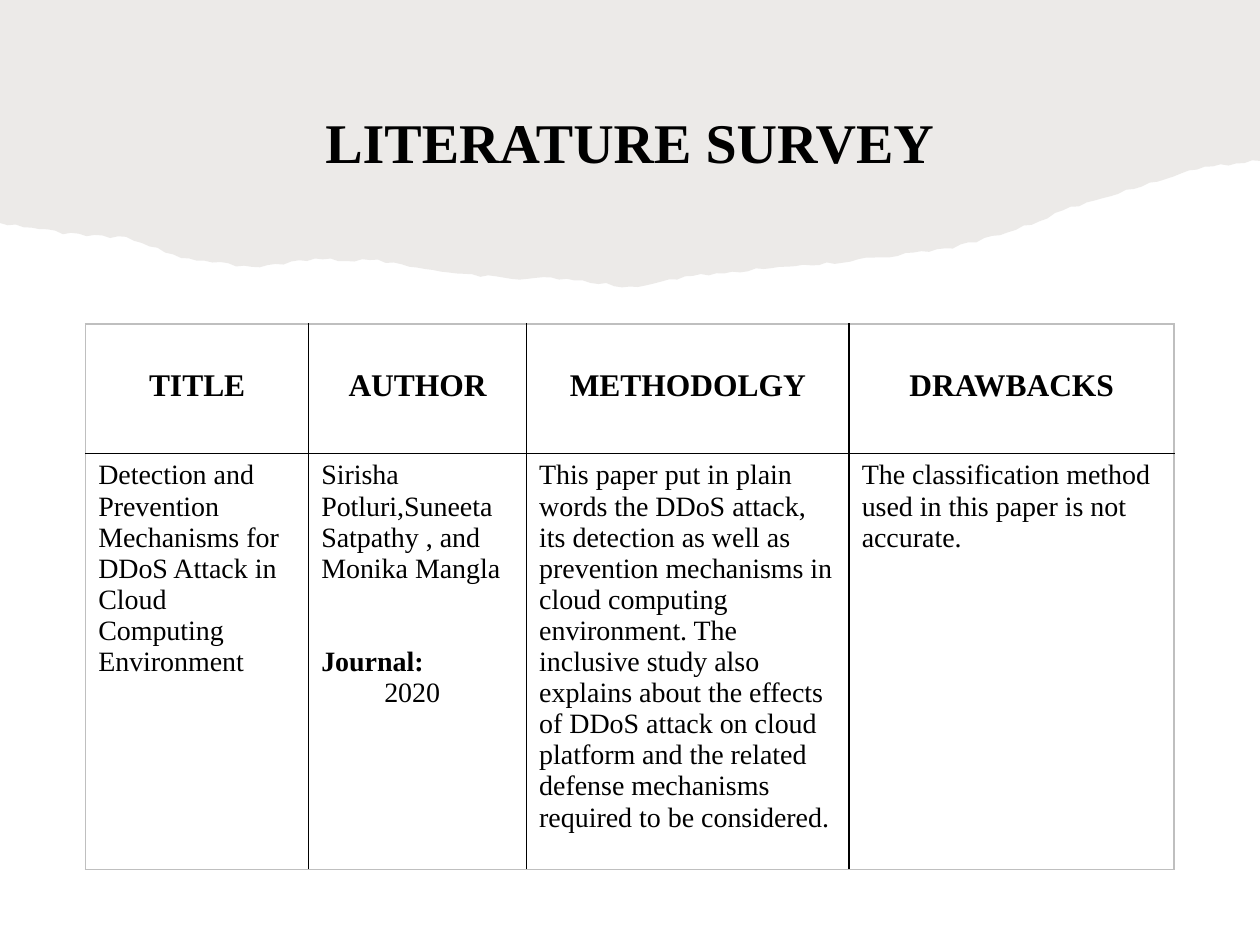
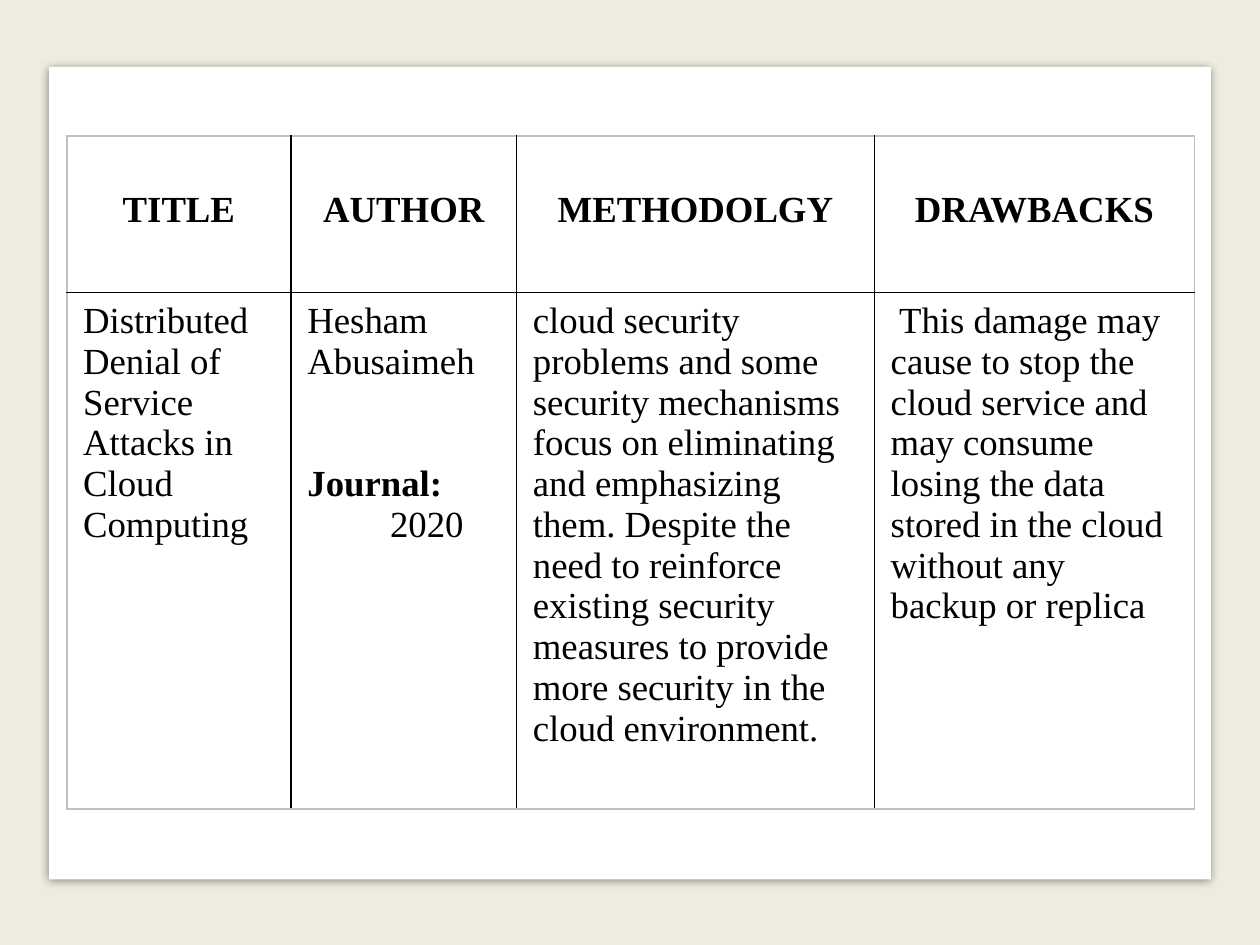
from dataclasses import dataclass
from math import sin

from lxml import etree
from pptx import Presentation
from pptx.dml.color import RGBColor
from pptx.enum.shapes import MSO_SHAPE as Shape
from pptx.enum.text import MSO_ANCHOR as Anchor, PP_ALIGN as Align
from pptx.oxml.ns import qn
from pptx.util import Inches, Pt

SLIDE_WIDTH, SLIDE_HEIGHT = 10, 7.5
HEADINGS = ("TITLE", "AUTHOR", "METHODOLGY", "DRAWBACKS")

# Depth of the torn band at equal steps from the left to the right edge
BAND_DEPTHS = (1.77, 1.85, 1.89, 2.06, 2.12, 2.06, 2.07, 2.15, 2.21, 2.21,
               2.28, 2.19, 2.14, 2.1, 2.04, 1.98, 1.85, 1.65, 1.49, 1.34, 1.27)
TEARS_PER_STEP = 8
TEAR_SIZE = 0.01


@dataclass(frozen=True)
class Theme:
    ink: str = "000000"
    paper: str = "FFFFFF"
    backdrop: str = "EEECE1"
    band: str = "82766A"
    band_opacity: int = 15
    shadow_opacity: int = 43
    outer_rule: str = "BFBFBF"
    rule_width: float = 1
    font: str = "Times New Roman"
    title_size: float = 32
    # The next three are multiples of the type size
    line_height: float = 1.11
    heading_drop: float = 1.22
    year_indent: float = 2.25


@dataclass(frozen=True)
class TableLayout:
    left: float
    top: float
    columns: tuple
    rows: tuple
    heading_size: float
    body_size: float
    inset_x: float
    inset_y: float


@dataclass(frozen=True)
class SurveyedPaper:
    title: str
    author: str
    year: str
    methodology: str
    drawbacks: str


def add_child(parent, tag, **attributes):
    child = etree.SubElement(parent, qn(tag))
    for name, value in attributes.items():
        child.set(name, str(value))
    return child


def add_opacity(color, percent):
    add_child(color, "a:alpha", val=percent * 1000)


def torn_edge():
    """Join the band depths by straight stretches and roughen them."""
    steps = len(BAND_DEPTHS) - 1
    tears = steps * TEARS_PER_STEP
    for tear in range(tears + 1):
        step = min(tear // TEARS_PER_STEP, steps - 1)
        share = tear / TEARS_PER_STEP - step
        start, end = BAND_DEPTHS[step:step + 2]
        roughness = TEAR_SIZE * sin(tear * tear)
        yield (Inches(SLIDE_WIDTH * tear / tears),
               Inches(start + (end - start) * share + roughness))


class SurveyDeck:
    def __init__(self, theme):
        self.theme = theme
        self.deck = Presentation()
        self.deck.slide_width = Inches(SLIDE_WIDTH)
        self.deck.slide_height = Inches(SLIDE_HEIGHT)
        self.slide = None

    def new_slide(self):
        self.slide = self.deck.slides.add_slide(self.deck.slide_layouts[6])

    def paint(self, shape, color):
        shape.shadow.inherit = False
        shape.fill.solid()
        shape.fill.fore_color.rgb = RGBColor.from_string(color)
        shape.line.fill.background()

    def panel(self, left, top, width, height, color):
        panel = self.slide.shapes.add_shape(
            Shape.RECTANGLE, *map(Inches, (left, top, width, height)))
        self.paint(panel, color)
        return panel

    def raised_panel(self, *box):
        panel = self.panel(*box, self.theme.paper)
        effects = panel.element.spPr.find(qn("a:effectLst"))
        shadow = add_child(effects, "a:outerShdw", blurRad=Pt(5), dist=Pt(1.4),
                           dir=90 * 60000, algn="t", rotWithShape=0)
        shade = add_child(shadow, "a:srgbClr", val=self.theme.ink)
        add_opacity(shade, self.theme.shadow_opacity)

    def torn_band(self):
        outline = self.slide.shapes.build_freeform(0, 0, scale=1.0)
        outline.add_line_segments([*torn_edge(), (Inches(SLIDE_WIDTH), 0)])
        band = outline.convert_to_shape()
        self.paint(band, self.theme.band)
        tint = band.element.spPr.find(qn("a:solidFill"))[0]
        add_opacity(tint, self.theme.band_opacity)

    def run(self, paragraph, text, size, bold=False):
        run = paragraph.add_run()
        run.text = text
        run.font.name = self.theme.font
        run.font.size = Pt(size)
        run.font.bold = bold
        run.font.color.rgb = RGBColor.from_string(self.theme.ink)

    def title(self, text):
        frame = self.slide.shapes.add_textbox(
            *map(Inches, (0.68, 0.55, 8.64, 0.89))).text_frame
        frame.word_wrap = True
        frame.vertical_anchor = Anchor.BOTTOM
        line = frame.paragraphs[0]
        line.alignment = Align.CENTER
        line.line_spacing = 0.9
        self.run(line, text, self.theme.title_size, bold=True)

    def prepare_cell(self, cell, layout, outer_sides):
        """Set the margins and borders; borders on outer sides are lighter."""
        cell.margin_left = cell.margin_right = Inches(layout.inset_x)
        cell.margin_top = cell.margin_bottom = Inches(layout.inset_y)
        properties = cell._tc.get_or_add_tcPr()
        for side in "LRTB":
            outer = side in outer_sides
            border = add_child(properties, f"a:ln{side}",
                               w=Pt(self.theme.rule_width))
            add_child(add_child(border, "a:solidFill"), "a:srgbClr",
                      val=self.theme.outer_rule if outer else self.theme.ink)
        cell.fill.background()

    def heading_cell(self, cell, text, size):
        cell.margin_top += Pt(self.theme.heading_drop * size)
        heading = cell.text_frame.paragraphs[0]
        heading.alignment = Align.CENTER
        self.run(heading, text, size, bold=True)

    def body_cell(self, cell, text, size):
        self.run(cell.text_frame.paragraphs[0], text, size)

    def add_journal(self, cell, year, size):
        """Put the journal label and year two lines below the author."""
        label = cell.text_frame.add_paragraph()
        label.space_before = Pt(2 * self.theme.line_height * size)
        self.run(label, "Journal:", size, bold=True)
        year_line = cell.text_frame.add_paragraph()
        indent = Pt(self.theme.year_indent * size)
        year_line._p.get_or_add_pPr().set("marL", str(indent))
        self.run(year_line, year, size)

    def survey_table(self, layout, paper):
        box = (layout.left, layout.top, sum(layout.columns), sum(layout.rows))
        table = self.slide.shapes.add_table(
            len(layout.rows), len(layout.columns), *map(Inches, box)).table
        table.first_row = table.horz_banding = False
        for row, height in zip(table.rows, layout.rows):
            row.height = Inches(height)

        texts = (paper.title, paper.author, paper.methodology, paper.drawbacks)
        column_ends = ("L", "", "", "R")
        for index, (width, heading, text, end) in enumerate(
                zip(layout.columns, HEADINGS, texts, column_ends)):
            table.columns[index].width = Inches(width)
            top_cell, bottom_cell = table.cell(0, index), table.cell(1, index)
            self.prepare_cell(top_cell, layout, end + "T")
            self.prepare_cell(bottom_cell, layout, end + "B")
            self.heading_cell(top_cell, heading, layout.heading_size)
            self.body_cell(bottom_cell, text, layout.body_size)

        author_cell = table.cell(1, HEADINGS.index("AUTHOR"))
        self.add_journal(author_cell, paper.year, layout.body_size)


DETECTION_PAPER = SurveyedPaper(
    title="Detection and Prevention Mechanisms for DDoS Attack in Cloud "
          "Computing Environment",
    author="Sirisha Potluri,Suneeta Satpathy , and Monika Mangla",
    year="2020",
    methodology="This paper put in plain words the DDoS attack, its detection "
                "as well as prevention mechanisms in cloud computing "
                "environment. The inclusive study also explains about the "
                "effects of DDoS attack on cloud platform and the related "
                "defense mechanisms required to be considered.",
    drawbacks="The classification method used in this paper is not accurate.")

DENIAL_PAPER = SurveyedPaper(
    title="Distributed Denial of Service Attacks in Cloud Computing",
    author="Hesham Abusaimeh",
    year="2020",
    methodology="cloud security problems and some security mechanisms focus "
                "on eliminating and emphasizing them. Despite the need to "
                "reinforce existing security measures to provide more "
                "security in the cloud environment.",
    drawbacks=" This damage may cause to stop the cloud service and may "
              "consume losing the data stored in the cloud without any "
              "backup or replica")

TITLED_LAYOUT = TableLayout(
    left=0.68, top=2.57, columns=(1.77, 1.73, 2.56, 2.58), rows=(1.03, 3.29),
    heading_size=18, body_size=16, inset_x=0.1, inset_y=0.05)

FULL_LAYOUT = TableLayout(
    left=0.53, top=1.08, columns=(1.78, 1.79, 2.84, 2.54), rows=(1.24, 4.1),
    heading_size=21, body_size=21, inset_x=0.13, inset_y=0.07)


def main():
    survey = SurveyDeck(Theme())

    survey.new_slide()
    survey.torn_band()
    survey.title("LITERATURE SURVEY")
    survey.survey_table(TITLED_LAYOUT, DETECTION_PAPER)

    survey.new_slide()
    survey.panel(0, 0, SLIDE_WIDTH, SLIDE_HEIGHT, survey.theme.backdrop)
    survey.raised_panel(0.39, 0.53, 9.22, 6.45)
    survey.survey_table(FULL_LAYOUT, DENIAL_PAPER)

    survey.deck.save("out.pptx")


if __name__ == "__main__":
    main()
